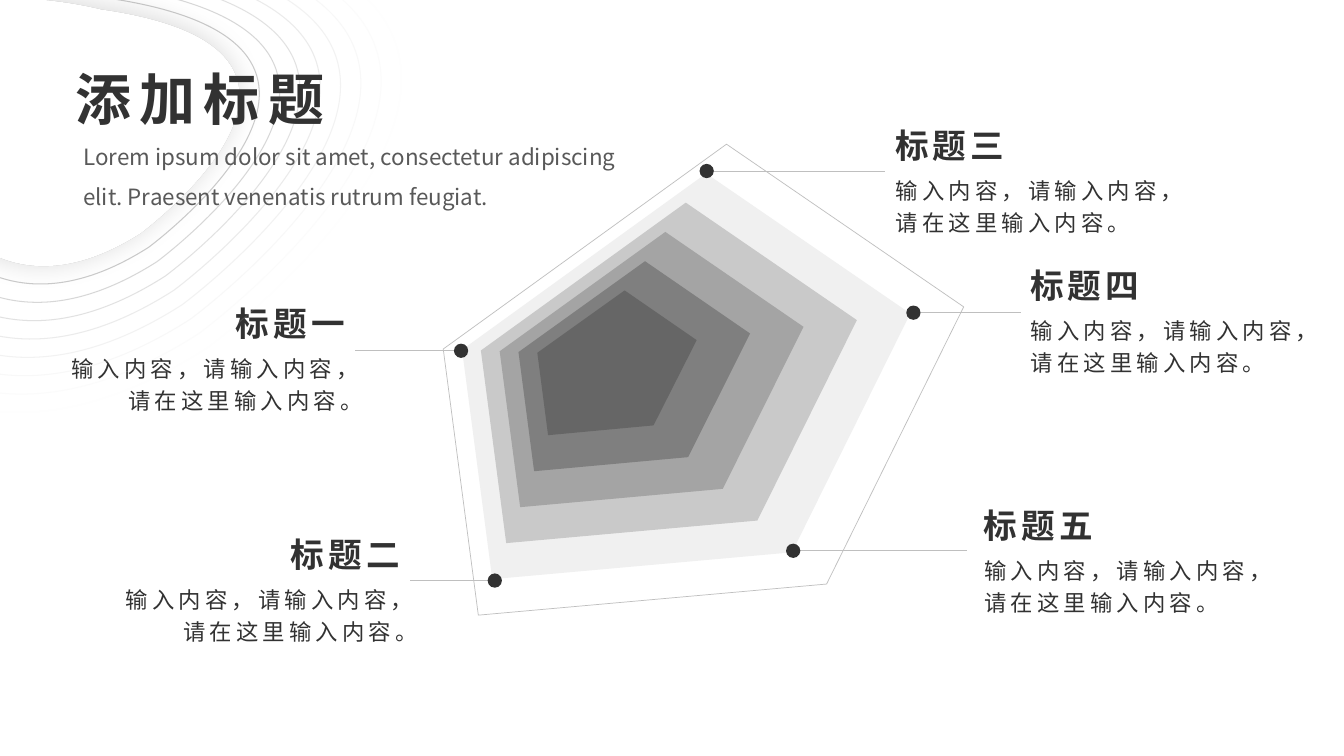
from math import cos, radians, sin
from typing import NamedTuple

from lxml import etree
from pptx import Presentation
from pptx.dml.color import RGBColor
from pptx.enum.shapes import MSO_CONNECTOR, MSO_SHAPE
from pptx.enum.text import MSO_AUTO_SIZE, PP_ALIGN
from pptx.oxml.ns import qn
from pptx.util import Cm, Pt

LEFT, RIGHT = PP_ALIGN.LEFT, PP_ALIGN.RIGHT
OVAL = MSO_SHAPE.OVAL
STRAIGHT = MSO_CONNECTOR.STRAIGHT
FIT_SHAPE = MSO_AUTO_SIZE.SHAPE_TO_FIT_TEXT

FONT = "Noto Sans CJK SC"
COLORS = {"dark": "323232", "subtitle": "595959", "line": "BFBFBF", "white": "FFFFFF", "shadow": "000000"}
PENTAGON_FILLS = ["FFFFFF", "F0F0F0", "C9C9C9", "A4A4A4", "7F7F7F", "666666"]
BODY = "输入内容，请输入内容，请在这里输入内容。"
DOT_SIZE = 0.36
HEADING_WIDTH = 3.4
BODY_WIDTH = 8.13
RING_COUNT = 9
PENTAGON_TURN = -26.4
RING_TURN = 248.1

Point = tuple[float, float]

# All coordinates are centimetres; pentagons are given before their turn.
OUTER_PENTAGON = [(21.15, 4.69), (12.46, 6.14), (10.27, 12.54), (18.48, 15.74), (24.68, 11.02)]
INNER_PENTAGON = [(16.61, 7.65), (13.94, 8.08), (13.26, 10.06), (15.75, 11.02), (17.68, 9.58)]
# Ring points alternate: corner, the control that leads to the next corner.
OUTER_RING = [(3.3, -2.24), (-9.14, -5.44), (-6.78, 3.68), (-3.53, 14.38), (5.23, 8.76), (17.42, -0.25)]
INNER_RING = [(2.54, 0.25), (-3.81, -1.4), (-2.62, 3.28), (-0.94, 8.71), (3.53, 5.87), (9.75, 1.27)]
# Top left and bottom right of each ring's frame before its turn.
OUTER_FRAME = [(-5.28, -5.44), (8.79, 11.1)]
INNER_FRAME = [(-1.83, -1.4), (5.36, 7.03)]


class Callout(NamedTuple):
    heading: str
    dot_x: float
    line_end: float
    text_edge: float
    y: float
    text_top: float
    align: PP_ALIGN


class TextStyle(NamedTuple):
    size: float
    color: str = "dark"
    bold: bool = False
    tracking: int = 0
    line_spacing: float = 1.0
    wrap: bool = True


HEADING_STYLE = TextStyle(24, bold=True, tracking=3, wrap=False)
BODY_STYLE = TextStyle(16, tracking=3, line_spacing=1.2)
TITLE_STYLE = TextStyle(40, bold=True, tracking=6, wrap=False)
SUBTITLE_STYLE = TextStyle(16, color="subtitle", line_spacing=1.5)

CALLOUTS = [
    Callout("标题三", 17.81, 22.3, 22.31, 4.31, 3.03, LEFT),
    Callout("标题四", 23.02, 25.73, 25.71, 7.88, 6.55, LEFT),
    Callout("标题五", 19.99, 24.38, 24.54, 13.88, 12.6, LEFT),
    Callout("标题二", 12.47, 10.34, 10.33, 14.63, 13.32, RIGHT),
    Callout("标题一", 11.62, 8.94, 8.95, 8.84, 7.51, RIGHT),
]


def rgb(name_or_hex: str) -> RGBColor:
    return RGBColor.from_string(COLORS.get(name_or_hex, name_or_hex))


def blend(start: list[Point], end: list[Point], share: float) -> list[Point]:
    """Move each start point towards its end point."""
    return [(x + (u - x) * share, y + (v - y) * share) for (x, y), (u, v) in zip(start, end)]


def add_polygon(shapes, points: list[Point], turn: float, fill: str = "", line: str = "", width: float = 0.75):
    corners = [(Cm(x), Cm(y)) for x, y in points]
    builder = shapes.build_freeform(*corners[0])
    builder.add_line_segments(corners[1:], close=True)
    shape = builder.convert_to_shape()
    shape.rotation = turn
    shape.shadow.inherit = False
    if fill:
        shape.fill.solid()
        shape.fill.fore_color.rgb = rgb(fill)
    else:
        shape.fill.background()
    if line:
        shape.line.color.rgb = rgb(line)
        shape.line.width = Pt(width)
    else:
        shape.line.fill.background()
    return shape


def add_ring(shapes, share: float, fill: str, line: str):
    """Add a turned frame and give it an outline of three cubic curves."""
    (left, top), (right, bottom) = blend(OUTER_FRAME, INNER_FRAME, share)
    frame = [(left, top), (right, top), (right, bottom), (left, bottom)]
    shape = add_polygon(shapes, frame, RING_TURN, fill, line)
    center_x, center_y = (left + right) / 2, (top + bottom) / 2
    cosine, sine = cos(radians(RING_TURN)), sin(radians(RING_TURN))
    local = []
    for x, y in blend(OUTER_RING, INNER_RING, share):
        dx, dy = x - center_x, y - center_y
        local.append((dx * cosine + dy * sine + center_x - left, dy * cosine - dx * sine + center_y - top))

    outline = shape._element.spPr.find(".//" + qn("a:path"))
    for segment in list(outline):
        outline.remove(segment)

    def add_segment(tag: str, points: list[Point]) -> None:
        segment = etree.SubElement(outline, qn(tag))
        for x, y in points:
            etree.SubElement(segment, qn("a:pt"), x=str(Cm(x)), y=str(Cm(y)))

    add_segment("a:moveTo", local[:1])
    for index in (0, 2, 4):
        add_segment("a:cubicBezTo", [local[index], local[index + 1], local[(index + 2) % 6]])
    add_segment("a:close", [])
    return shape


def add_alpha(color_element, percent: float) -> None:
    etree.SubElement(color_element, qn("a:alpha"), val=str(round(percent * 1000)))


def add_soft_shadow(shape) -> None:
    effects = shape._element.spPr.find(qn("a:effectLst"))
    shadow = etree.SubElement(
        effects, qn("a:outerShdw"), blurRad=str(Pt(20)), dist=str(Pt(3)), dir=str(225 * 60000), rotWithShape="0"
    )
    add_alpha(etree.SubElement(shadow, qn("a:srgbClr"), val=COLORS["shadow"]), 15)


def add_text(shapes, text: str, box: tuple[float, float, float, float], style: TextStyle, align=LEFT) -> None:
    frame = shapes.add_textbox(*map(Cm, box)).text_frame
    frame.word_wrap = style.wrap
    frame.auto_size = FIT_SHAPE
    frame.text = text
    paragraph = frame.paragraphs[0]
    paragraph.alignment = align
    paragraph.line_spacing = style.line_spacing
    font = paragraph.runs[0].font
    font.size = Pt(style.size)
    font.bold = style.bold
    font.color.rgb = rgb(style.color)
    font.name = FONT
    properties = paragraph.runs[0]._r.get_or_add_rPr()
    etree.SubElement(properties, qn("a:ea"), typeface=FONT)
    properties.set("spc", str(style.tracking * 100))


def add_callout(shapes, callout: Callout) -> None:
    radius = DOT_SIZE / 2
    on_left = callout.align == RIGHT
    line_start = callout.dot_x + (-radius if on_left else radius)
    line = shapes.add_connector(STRAIGHT, Cm(line_start), Cm(callout.y), Cm(callout.line_end), Cm(callout.y))
    line.line.color.rgb = rgb("line")
    line.line.width = Pt(0.5)
    etree.SubElement(line._element.spPr, qn("a:effectLst"))

    heading_left = callout.text_edge - (HEADING_WIDTH if on_left else 0)
    body_left = callout.text_edge + (0.45 - BODY_WIDTH if on_left else 0.02)
    add_text(shapes, callout.heading, (heading_left, callout.text_top, HEADING_WIDTH, 1.27),
             HEADING_STYLE, callout.align)
    add_text(shapes, BODY, (body_left, callout.text_top + 1.18, BODY_WIDTH, 1.83), BODY_STYLE, callout.align)

    dot = shapes.add_shape(
        OVAL, Cm(callout.dot_x - radius), Cm(callout.y - radius), Cm(DOT_SIZE), Cm(DOT_SIZE)
    )
    dot.shadow.inherit = False
    dot.fill.solid()
    dot.fill.fore_color.rgb = rgb("dark")
    dot.line.fill.background()


def add_pentagons(shapes) -> None:
    last = len(PENTAGON_FILLS) - 1
    for index, fill in enumerate(PENTAGON_FILLS):
        points = blend(OUTER_PENTAGON, INNER_PENTAGON, index / last)
        add_polygon(shapes, points, PENTAGON_TURN, fill, "" if index else "line", 0.5)


def add_rings(shapes) -> None:
    for index in range(RING_COUNT):
        share = index / (RING_COUNT - 1)
        gray = round(0xF8 + (0xBF - 0xF8) * share)
        ring = add_ring(shapes, share, "", f"{gray:02X}" * 3)
        color = ring.line._ln.find(qn("a:solidFill")).find(qn("a:srgbClr"))
        add_alpha(color, 100 * (index + 1) / RING_COUNT)
    add_soft_shadow(add_ring(shapes, 1, "white", "white"))


def main() -> None:
    presentation = Presentation()
    presentation.slide_width, presentation.slide_height = Cm(33.87), Cm(19.05)
    shapes = presentation.slides.add_slide(presentation.slide_layouts[6]).shapes
    add_pentagons(shapes.add_group_shape().shapes)
    for callout in CALLOUTS:
        add_callout(shapes.add_group_shape().shapes, callout)
    add_rings(shapes.add_group_shape().shapes)
    add_text(shapes, "添加标题", (1.65, 1.5, 7.06, 1.96), TITLE_STYLE)
    subtitle = "Lorem ipsum dolor sit amet, consectetur adipiscing elit. Praesent venenatis rutrum feugiat."
    add_text(shapes, subtitle, (1.85, 3.14, 14.27, 2.21), SUBTITLE_STYLE)
    presentation.save("out.pptx")


if __name__ == "__main__":
    main()
